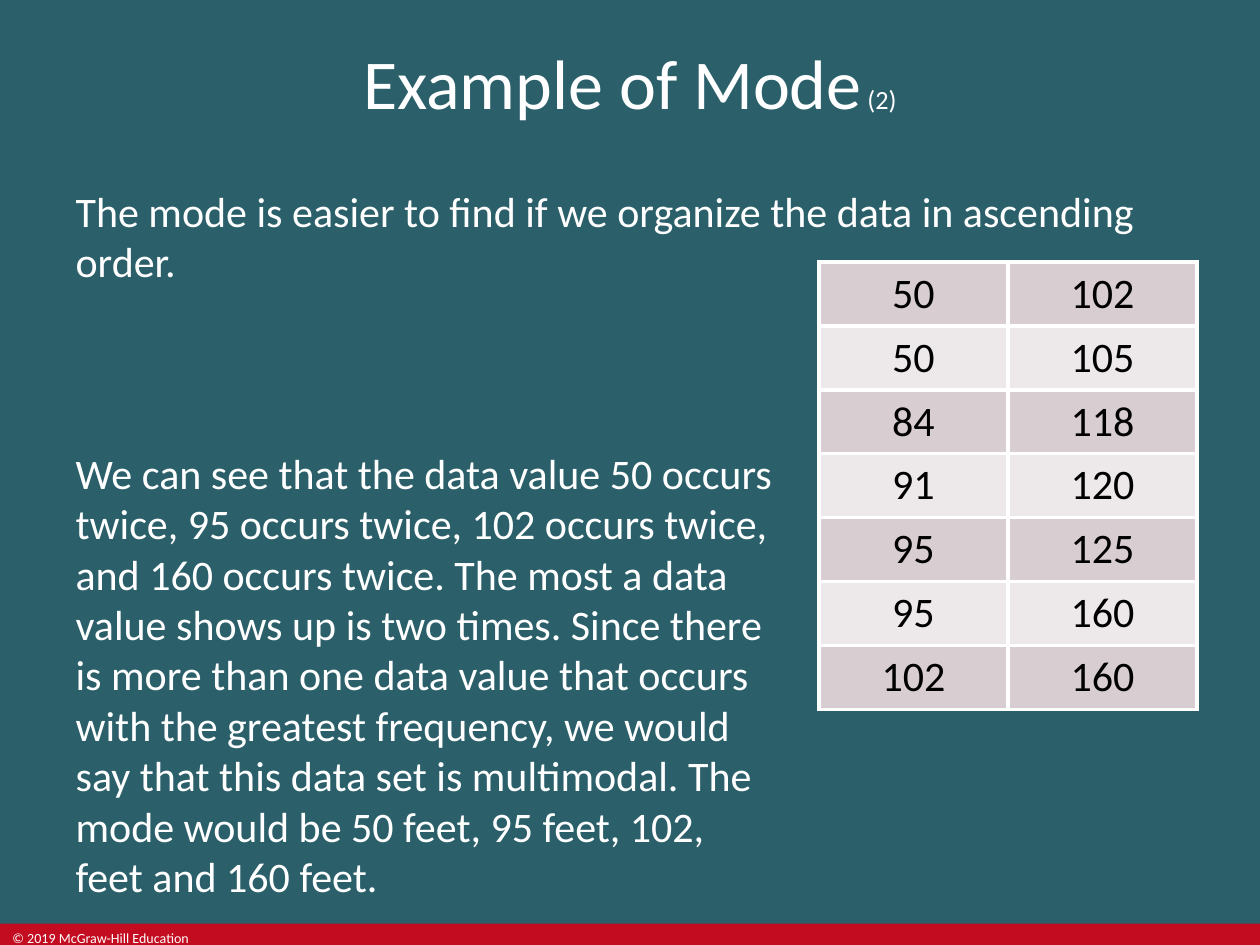
from lxml import etree
from pptx import Presentation
from pptx import util as u
from pptx.dml.color import RGBColor
from pptx.enum import shapes, text
from pptx.oxml.ns import qn

WHITE, BLACK, TEAL, RED = "FFFFFF", "000000", "2B606A", "C30C20"
BANDS = ("D8CDD1", "EDE8E9")
LEFT_VALUES = (50, 50, 84, 91, 95, 95, 102)
RIGHT_VALUES = (102, 105, 118, 120, 125, 160, 160)
INTRO = "The mode is easier to find if we organize the data in ascending order."
CONCLUSION = (
    "We can see that the data value 50 occurs twice, 95 occurs twice, "
    "102 occurs twice, and 160 occurs twice. The most a data value shows up "
    "is two times. Since there is more than one data value that occurs with "
    "the greatest frequency, we would say that this data set is multimodal. "
    "The mode would be 50 feet, 95 feet, 102, feet and 160 feet."
)


def set_fill(fill, color):
    """Fill an object with a solid hex colour."""
    fill.solid()
    fill.fore_color.rgb = RGBColor.from_string(color)


def set_attrs(obj, values):
    """Set every attribute named in a dict of format values."""
    for name, value in values.items():
        setattr(obj, name, value)


def place(sp, left, top, width, height):
    """Move and size a shape, in inches."""
    box = dict(left=left, top=top, width=width, height=height)
    set_attrs(sp, {name: u.Inches(value) for name, value in box.items()})


def add_run(p, words, size, color=WHITE):
    """Append a formatted run to a paragraph."""
    r = p.add_run()
    r.text = words
    set_attrs(r.font, {"name": "Calibri", "size": u.Pt(size)})
    r.font.color.rgb = RGBColor.from_string(color)


def write(sp, runs, anchor=text.MSO_ANCHOR.TOP, align=text.PP_ALIGN.LEFT):
    """Write one unbulleted paragraph of (words, size) runs."""
    tf = sp.text_frame
    set_attrs(tf, {"word_wrap": True, "auto_size": text.MSO_AUTO_SIZE.NONE,
                   "vertical_anchor": anchor})
    p = tf.paragraphs[0]
    pPr = p._p.get_or_add_pPr()
    pPr.set("marL", "0")
    pPr.set("indent", "0")
    etree.SubElement(pPr, qn("a:buNone"))
    set_attrs(p, {"alignment": align, "space_before": u.Pt(0)})
    for words, size in runs:
        add_run(p, words, size)


def add_footer(s):
    """Add the red band and its copyright line."""
    band = s.shapes.add_shape(shapes.MSO_SHAPE.RECTANGLE, u.Inches(0),
                              u.Inches(7.33), u.Inches(10), u.Inches(0.17))
    band.shadow.inherit = False
    set_fill(band.fill, RED)
    band.line.fill.background()
    sp = s.shapes.add_textbox(u.Inches(0), u.Inches(7.33),
                              u.Inches(1.7), u.Inches(0.17))
    write(sp, [("© 2019 McGraw-Hill Education", 8)])


def set_borders(cell, color, width):
    """Draw all four borders of a table cell."""
    tcPr = cell._tc.get_or_add_tcPr()
    for i, side in enumerate(("lnL", "lnR", "lnT", "lnB")):
        ln = etree.Element(qn(f"a:{side}"), w=str(u.Pt(width)))
        fill = etree.SubElement(ln, qn("a:solidFill"))
        etree.SubElement(fill, qn("a:srgbClr"), val=color)
        tcPr.insert(i, ln)


def add_data_table(s, rows):
    """Add the banded table of sorted data values."""
    frame = s.shapes.add_table(len(rows), len(rows[0]), u.Inches(6.5),
                               u.Inches(2.08), u.Inches(3), u.Inches(3.5))
    table = frame.table
    set_attrs(table, {"first_row": False, "horz_banding": False})
    for i, row in enumerate(rows):
        for j, value in enumerate(row):
            cell = table.cell(i, j)
            cell.vertical_anchor = text.MSO_ANCHOR.MIDDLE
            set_fill(cell.fill, BANDS[i % 2])
            set_borders(cell, WHITE, 2.25)
            p = cell.text_frame.paragraphs[0]
            p.alignment = text.PP_ALIGN.CENTER
            add_run(p, str(value), 24, BLACK)


def main():
    """Build and save the slide."""
    prs = Presentation()
    set_attrs(prs, {"slide_width": u.Inches(10), "slide_height": u.Inches(7.5)})
    s = prs.slides.add_slide(prs.slide_layouts[3])
    set_fill(s.background.fill, TEAL)
    title, intro, conclusion = s.placeholders
    place(title, 0, 0, 10, 1.3)
    write(title, [("Example of Mode", 40), (" (2)", 15)],
          text.MSO_ANCHOR.MIDDLE, text.PP_ALIGN.CENTER)
    place(intro, 0.5, 1.42, 9, 1.08)
    write(intro, [(INTRO, 24)])
    place(conclusion, 0.5, 3.5, 5.8, 3.67)
    write(conclusion, [(CONCLUSION, 24)])
    add_data_table(s, list(zip(LEFT_VALUES, RIGHT_VALUES)))
    add_footer(s)
    prs.save("out.pptx")


if __name__ == "__main__":
    main()
